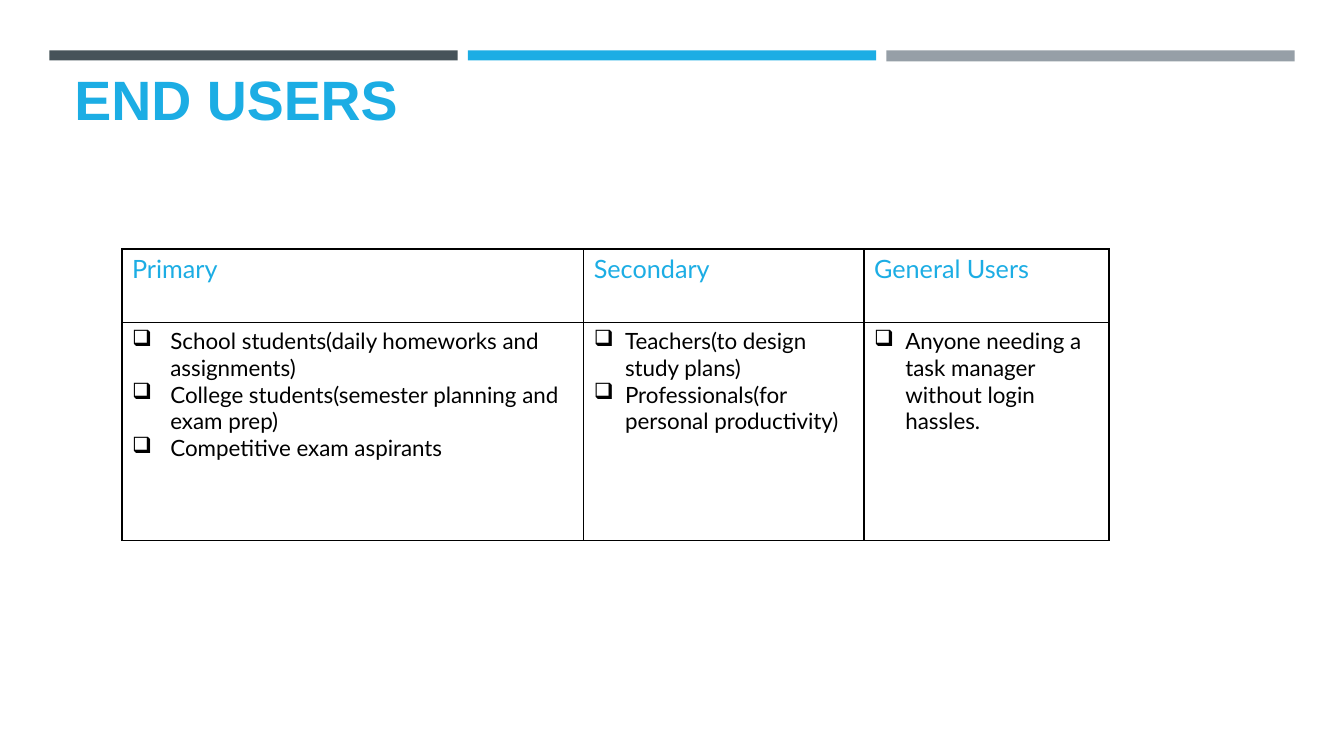
from lxml import etree
from pptx import Presentation
from pptx import util as u
from pptx.dml.color import RGBColor
from pptx.enum import shapes, text
from pptx.oxml import ns

COLORS = {"slate": "465359", "blue": "1CADE4", "gray": "969FA7", "black": "000000"}
WIDTH, HEIGHT = 13.33, 7.5
BAR_LEFT, BAR_TOP, BAR_WIDTH, BAR_PITCH = 0.49, 0.5, 4.05, 4.15
TABLE_LEFT, TABLE_TOP = 1.21, 2.47
HEADER_HEIGHT, BODY_HEIGHT = 0.73, 2.16
USER_GROUPS = [
    ("Primary", 4.58, 0.38, [
        "School students(daily homeworks and assignments)",
        "College students(semester planning and exam prep)",
        "Competitive exam aspirants",
    ]),
    ("Secondary", 2.78, 0.31, [
        "Teachers(to design study plans)",
        "Professionals(for personal productivity)",
    ]),
    ("General Users", 2.43, 0.31, [
        "Anyone needing a task manager without login hassles.",
    ]),
]


def color(name):
    return RGBColor.from_string(COLORS[name])


def inches(*lengths):
    return [u.Inches(length) for length in lengths]


def style(para, font, size, tone, bold=False):
    for span in para.runs:
        span.font.name = font
        span.font.size = u.Pt(size)
        span.font.bold = bold
        span.font.color.rgb = color(tone)


def add_bar(page, column, tone, height):
    box = inches(BAR_LEFT + column * BAR_PITCH, BAR_TOP, BAR_WIDTH, height)
    bar = page.shapes.add_shape(shapes.MSO_SHAPE.RECTANGLE, *box)
    bar.shadow.inherit = False
    bar.fill.solid()
    bar.fill.fore_color.rgb = color(tone)
    bar.line.fill.background()


def add_title(page, wording):
    box = page.shapes.add_textbox(*inches(0.64, 0.77, 12.06, 0.58))
    frame = box.text_frame
    frame.word_wrap = True
    frame.vertical_anchor = text.MSO_ANCHOR.BOTTOM
    frame.text = wording
    style(frame.paragraphs[0], "Arial", 39.6, "blue", True)


def add_bullet(para, indent):
    props = para._p.get_or_add_pPr()
    props.set("marL", str(u.Inches(indent)))
    props.set("indent", str(-u.Inches(indent)))
    etree.SubElement(props, ns.qn("a:buChar")).set("char", "❑")


def add_borders(cell, widths):
    props = cell._tc.get_or_add_tcPr()
    for position, (side, width) in enumerate(widths.items()):
        line = etree.Element(ns.qn(f"a:ln{side}"), w=str(u.Pt(width)))
        fill = etree.SubElement(line, ns.qn("a:solidFill"))
        etree.SubElement(fill, ns.qn("a:srgbClr"), val=COLORS["black"])
        props.insert(position, line)


def fill_cell(cell, lines, size, tone, widths, indent=None):
    cell.fill.background()
    cell.text_frame.text = "\n".join(lines)
    for para in cell.text_frame.paragraphs:
        style(para, "Lato", size, tone)
        if indent:
            add_bullet(para, indent)
    add_borders(cell, widths)


def add_user_table(page):
    total = sum(group[1] for group in USER_GROUPS)
    box = inches(TABLE_LEFT, TABLE_TOP, total, HEADER_HEIGHT + BODY_HEIGHT)
    table = page.shapes.add_table(2, len(USER_GROUPS), *box).table
    table.first_row = False
    table.horz_banding = False
    for row, height in zip(table.rows, inches(HEADER_HEIGHT, BODY_HEIGHT)):
        row.height = height
    header_lines = {"L": 1, "R": 1, "T": 1, "B": 1.5}
    body_lines = {"L": 1, "R": 1, "T": 1.5, "B": 1}
    for column, (name, width, indent, users) in enumerate(USER_GROUPS):
        table.columns[column].width = u.Inches(width)
        fill_cell(table.cell(0, column), [name], 18, "blue", header_lines)
        fill_cell(table.cell(1, column), users, 16, "black", body_lines, indent)


def main():
    deck = Presentation()
    deck.slide_width, deck.slide_height = inches(WIDTH, HEIGHT)
    page = deck.slides.add_slide(deck.slide_layouts[6])
    for column, (tone, height) in enumerate([("slate", 0.1), ("blue", 0.1), ("gray", 0.11)]):
        add_bar(page, column, tone, height)
    add_title(page, "END USERS")
    add_user_table(page)
    deck.save("out.pptx")


if __name__ == "__main__":
    main()
